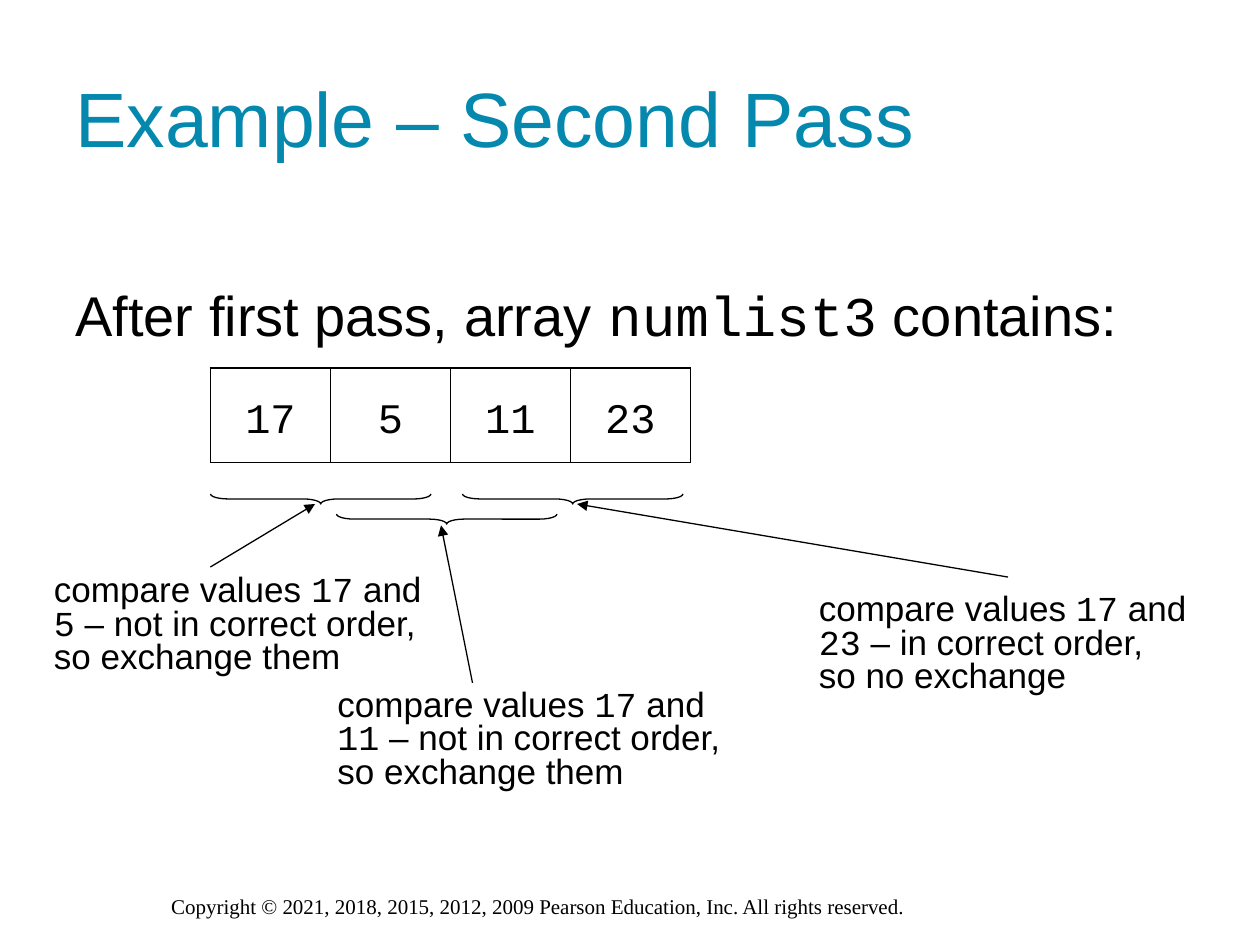
import pptx
import pptx.util
import pptx.dml.color
import pptx.enum.shapes
import pptx.enum.text
import pptx.oxml.ns
from lxml import etree

Inches, Pt = pptx.util.Inches, pptx.util.Pt
COLORS = {"title": "0488AE", "ink": "000000"}
SANS, MONO, SERIF = "Arial", "Courier New", "Times New Roman"


def rgb(name):
    return pptx.dml.color.RGBColor.from_string(COLORS[name])


def add_xml(parent, tag, **attrs):
    return etree.SubElement(parent, pptx.oxml.ns.qn(tag), attrs)


class SlideBuilder:
    """Holds the shared line style and the slide being filled."""

    line_width = 0.75
    outer_border, inner_border = 1.08, 0.45

    def __init__(self, slide):
        self.slide = slide

    def add_runs(self, p, runs, size, color="ink"):
        """Add (text, font) runs to a paragraph."""
        for text, font in runs:
            r = p.add_run()
            r.text = text
            r.font.name = font
            r.font.size = Pt(size)
            r.font.color.rgb = rgb(color)

    def text(self, box, paragraphs, size, color="ink", middle=False,
             wrap=True, spacing=None, top_inset=0.05):
        sp = self.slide.shapes.add_textbox(*map(Inches, box))
        tf = sp.text_frame
        tf.word_wrap = wrap
        tf.margin_top = Inches(top_inset)
        if not wrap:
            tf.auto_size = pptx.enum.text.MSO_AUTO_SIZE.SHAPE_TO_FIT_TEXT
        if middle:
            tf.vertical_anchor = pptx.enum.text.MSO_ANCHOR.MIDDLE
        for i, runs in enumerate(paragraphs):
            p = tf.add_paragraph() if i else tf.paragraphs[0]
            p.line_spacing = spacing
            self.add_runs(p, runs, size, color)

    def border(self, cell, side, width):
        ln = add_xml(cell._tc.get_or_add_tcPr(), f"a:ln{side}", w=str(Pt(width)))
        fill = add_xml(ln, "a:solidFill")
        add_xml(fill, "a:srgbClr", val=COLORS["ink"])

    def array(self, box, values, size):
        """Draw a one-row table with a heavier outer frame."""
        table = self.slide.shapes.add_table(1, len(values), *map(Inches, box)).table
        table.first_row = table.horz_banding = False
        last = len(values) - 1
        for i, value in enumerate(values):
            table.columns[i].width = Inches(box[2] / len(values))
            cell = table.cell(0, i)
            cell.vertical_anchor = pptx.enum.text.MSO_ANCHOR.MIDDLE
            p = cell.text_frame.paragraphs[0]
            p.alignment = pptx.enum.text.PP_ALIGN.CENTER
            p.line_spacing = 1.3
            self.add_runs(p, [(value, MONO)], size)
            self.border(cell, "L", self.inner_border if i else self.outer_border)
            self.border(cell, "R", self.inner_border if i < last else self.outer_border)
            self.border(cell, "T", self.outer_border)
            self.border(cell, "B", self.outer_border)
            cell.fill.background()

    def brace(self, left, top, width=1.75, depth=0.08):
        """Draw a brace pointing down: a right brace turned a quarter."""
        x = left + (width - depth) / 2
        y = top - (width - depth) / 2
        sp = self.slide.shapes.add_shape(
            pptx.enum.shapes.MSO_SHAPE.RIGHT_BRACE,
            *map(Inches, (x, y, depth, width)))
        sp.rotation = 90
        sp.adjustments[0] = 1.75
        sp.shadow.inherit = False
        sp.fill.background()
        sp.line.color.rgb = rgb("ink")
        sp.line.width = Pt(self.line_width)

    def arrow(self, start, end):
        line = self.slide.shapes.add_connector(
            pptx.enum.shapes.MSO_CONNECTOR.STRAIGHT, *map(Inches, start + end))
        line.line.color.rgb = rgb("ink")
        line.line.width = Pt(self.line_width)
        add_xml(line.line._get_or_add_ln(), "a:tailEnd", type="triangle")
        add_xml(line._element.spPr, "a:effectLst")


def main():
    prs = pptx.Presentation()
    prs.slide_width, prs.slide_height = Inches(10), Inches(7.5)
    s = SlideBuilder(prs.slides.add_slide(prs.slide_layouts[6]))

    s.text((1.26, 7.04, 7.42, 0.3), [[(
        "Copyright © 2021, 2018, 2015, 2012, 2009 Pearson Education, Inc. "
        "All rights reserved.", SERIF)]], 12)
    s.text((0.5, 0.3, 9, 1.25), [[("Example – Second Pass", SANS)]], 44,
           "title", middle=True)
    s.text((0.5, 2.13, 9.08, 4.09), [[
        ("After first pass, array ", SANS), ("numlist3", MONO),
        (" contains:", SANS)]], 32, top_inset=0.1)
    s.array((1.67, 2.92, 3.81, 0.75), ["17", "5", "11", "23"], 24)

    # brace corner, arrow start, arrow end, note box, second value, verdict, action
    comparisons = [
        ((1.67, 3.92), (1.67, 4.5), (2.5, 4), (0.33, 4.52, 3.19, 0.9),
         "5", "not in correct order", "so exchange them"),
        ((2.67, 4.08), (3.75, 5.42), (3.5, 4.17), (2.58, 5.43, 3.33, 0.9),
         "11", "not in correct order", "so exchange them"),
        ((3.67, 3.92), (8, 4.58), (4.58, 4), (6.4, 4.67, 3.12, 0.9),
         "23", "in correct order", "so no exchange"),
    ]
    for corner, start, end, box, value, verdict, action in comparisons:
        s.brace(*corner)
        s.arrow(start, end)
        s.text(box, [
            [("compare values ", SANS), ("17", MONO), (" and", SANS)],
            [(value, MONO), (f" – {verdict},", SANS)],
            [(action, SANS)],
        ], 20, wrap=False, spacing=0.8)

    prs.save("out.pptx")


if __name__ == "__main__":
    main()
